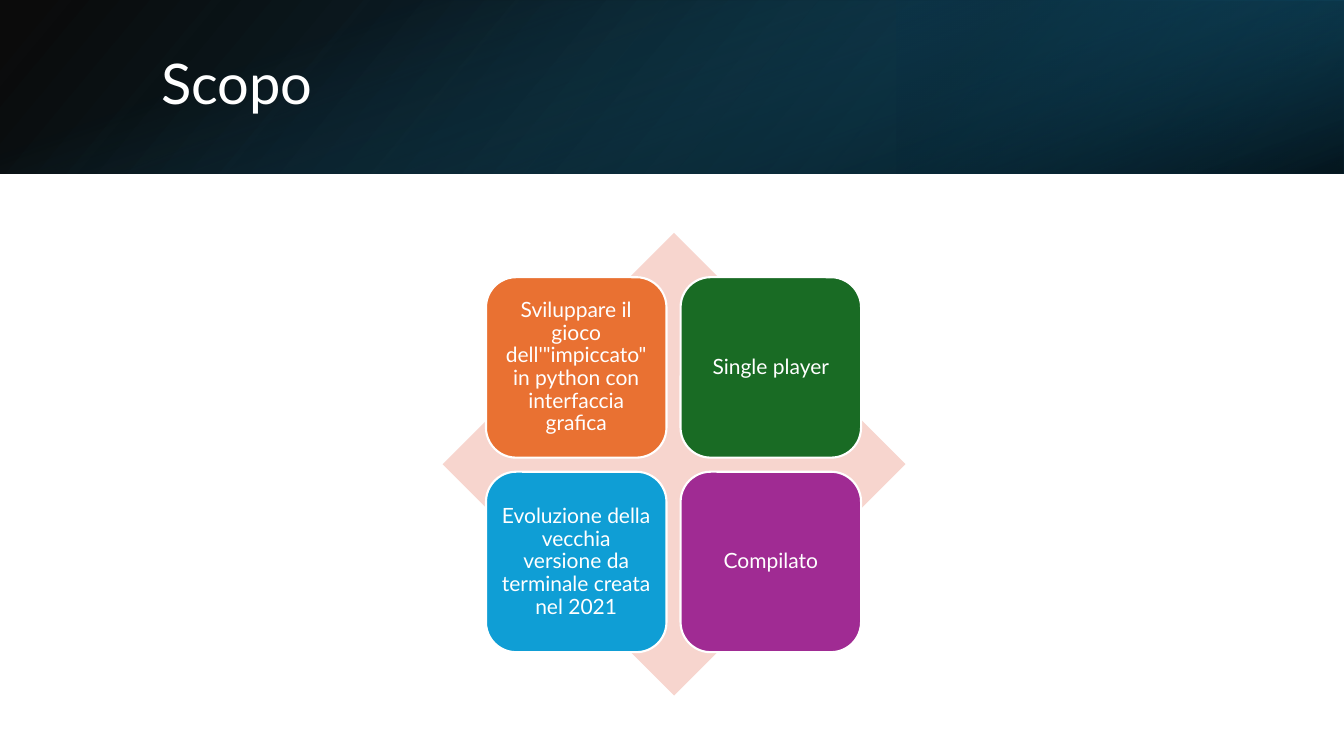
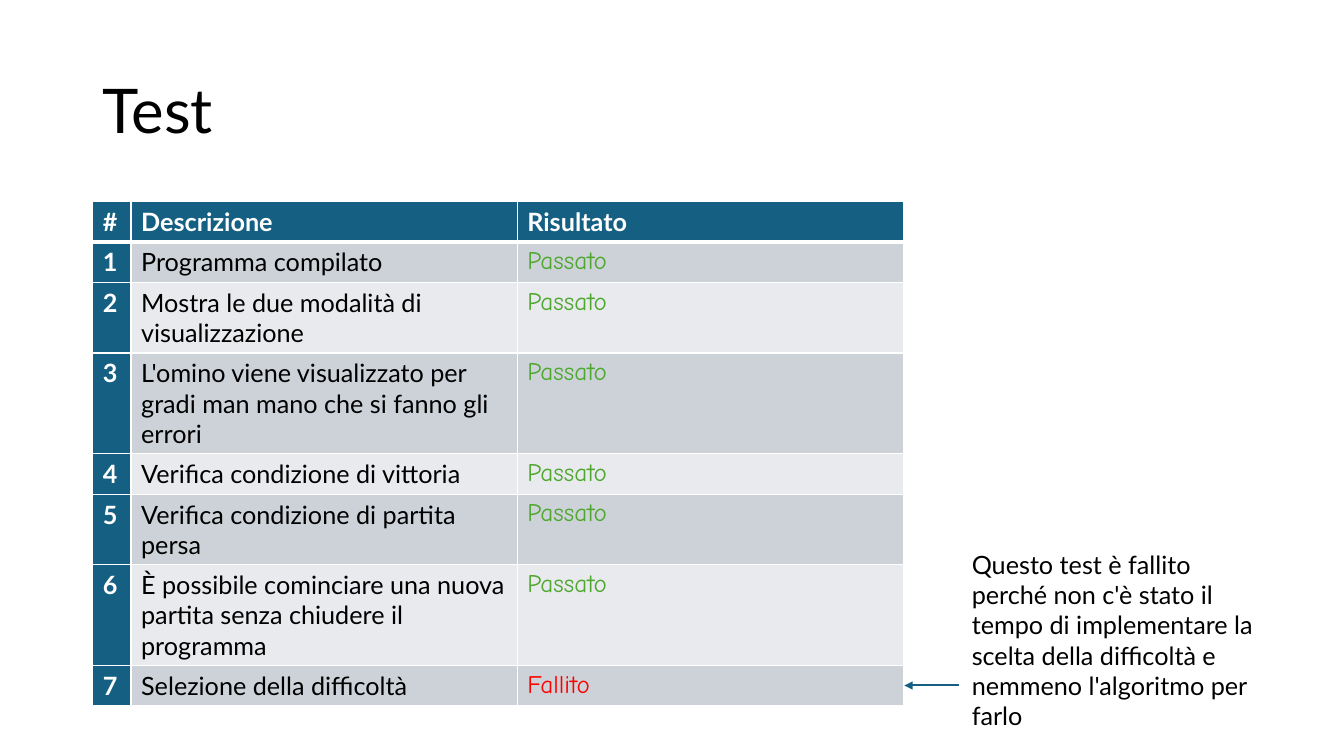
from lxml import etree
from pptx import Presentation
from pptx.dml.color import RGBColor
from pptx.enum.shapes import MSO_CONNECTOR as CONN, MSO_SHAPE as SHAPE
from pptx.enum.text import MSO_ANCHOR as ANCHOR, PP_ALIGN as ALIGN
from pptx.oxml import parse_xml
from pptx.oxml.ns import nsdecls, qn
from pptx.util import Inches, Pt

COLORS = {
    "white": "FFFFFF", "black": "000000", "blue": "156082",
    "navy": "104862", "deep": "0B3041", "pink": "F7D5CE",
    "orange": "E97132", "green": "196B24", "sky": "0F9ED5",
    "purple": "A02B93", "band_odd": "CCD2D8", "band_even": "E8EAED",
    "passed": "4EA72E", "failed": "FF0000",
}
FONT, HAND_FONT = "Lato", "Comic Neue"


def rgb(name):
    return RGBColor.from_string(COLORS[name])


class Deck:
    """Shared style and the slide being built."""

    def __init__(self):
        self.prs = Presentation()
        self.prs.slide_width, self.prs.slide_height = Inches(13.33), Inches(7.5)
        self.slide = None

    def new_slide(self):
        self.slide = self.prs.slides.add_slide(self.prs.slide_layouts[5])

    def set_text(self, tf, text, size, color, font=FONT, bold=False, align=ALIGN.LEFT, spacing=None):
        tf.text = text
        p = tf.paragraphs[0]
        p.alignment = align
        if spacing:
            p.line_spacing = spacing
        r = p.runs[0]
        r.font.size, r.font.name, r.font.bold = Pt(size), font, bold
        r.font.color.rgb = rgb(color)

    def title(self, text, box, size, color):
        sp = self.slide.shapes.title
        sp.left, sp.top, sp.width, sp.height = map(Inches, box)
        sp.text_frame.vertical_anchor = ANCHOR.MIDDLE
        self.set_text(sp.text_frame, text, size, color, spacing=0.9)
        # Keep the title in front of whatever was drawn before it
        sp.element.getparent().append(sp.element)

    def shape(self, kind, box, fill=None, line=None):
        sp = self.slide.shapes.add_shape(kind, *map(Inches, box))
        sp.shadow.inherit = False
        if fill:
            sp.fill.solid()
            sp.fill.fore_color.rgb = rgb(fill)
        if line:
            sp.line.color.rgb = rgb(line)
            sp.line.width = Pt(1.5)
        else:
            sp.line.fill.background()
        return sp

    def gradient(self, box, stops, angle, rotation=0, flip=False):
        """Rectangle with (position, colour, opacity) stops in percent."""
        sp = self.shape(SHAPE.RECTANGLE, box)
        sp.rotation = rotation
        pr = sp.element.spPr
        if flip:
            pr.xfrm.set("flipH", "1")
        gs = "".join(
            f'<a:gs pos="{pos * 1000}"><a:srgbClr val="{COLORS[color]}">'
            f'<a:alpha val="{alpha * 1000}"/></a:srgbClr></a:gs>'
            for pos, color, alpha in stops)
        pr.find(qn("a:prstGeom")).addnext(parse_xml(
            f'<a:gradFill {nsdecls("a")} rotWithShape="1"><a:gsLst>{gs}</a:gsLst>'
            f'<a:lin ang="{angle * 60000}" scaled="0"/></a:gradFill>'))

    def card(self, text, box, fill):
        sp = self.shape(SHAPE.ROUNDED_RECTANGLE, box, fill, "white")
        tf = sp.text_frame
        tf.word_wrap = True
        tf.vertical_anchor = ANCHOR.MIDDLE
        tf.margin_left = tf.margin_right = tf.margin_top = tf.margin_bottom = Inches(0.06)
        self.set_text(tf, text, 15, "white", align=ALIGN.CENTER, spacing=0.9)

    def text(self, text, box, size=18, color="black"):
        tf = self.slide.shapes.add_textbox(*map(Inches, box)).text_frame
        tf.word_wrap = True
        self.set_text(tf, text, size, color)

    def arrow(self, start, end, color):
        ln = self.slide.shapes.add_connector(CONN.STRAIGHT, *map(Inches, start + end))
        ln.line.color.rgb = rgb(color)
        ln.line.width = Pt(1.5)
        pr = ln.element.spPr
        etree.SubElement(pr.find(qn("a:ln")), qn("a:tailEnd")).set("type", "triangle")
        etree.SubElement(pr, qn("a:effectLst"))

    def cell(self, cell, text, fill, color, top=1, bottom=1, **style):
        pr = cell._tc.get_or_add_tcPr()
        for side, width in (("L", 1), ("R", 1), ("T", top), ("B", bottom)):
            pr.append(parse_xml(
                f'<a:ln{side} {nsdecls("a")} w="{Pt(width)}"><a:solidFill>'
                f'<a:srgbClr val="{COLORS["white"]}"/></a:solidFill></a:ln{side}>'))
        cell.fill.solid()
        cell.fill.fore_color.rgb = rgb(fill)
        self.set_text(cell.text_frame, text, 18, color, **style)

    def test_table(self, left, top, widths, heights, header, tests):
        table = self.slide.shapes.add_table(
            len(tests) + 1, len(header), Inches(left), Inches(top),
            Inches(sum(widths)), Inches(sum(heights))).table
        table.first_row = table.horz_banding = False
        for col, width in zip(table.columns, widths):
            col.width = Inches(width)
        for row, height in zip(table.rows, heights):
            row.height = Inches(height)
        for c, text in enumerate(header):
            self.cell(table.cell(0, c), text, "blue", "white", bottom=3, bold=True)
        for n, (description, result) in enumerate(tests, 1):
            edge = 3 if n == 1 else 1
            band = "band_odd" if n % 2 else "band_even"
            mark = "passed" if result == "Passato" else "failed"
            self.cell(table.cell(n, 0), str(n), "blue", "white", edge, bold=True)
            self.cell(table.cell(n, 1), description, band, "black", edge)
            self.cell(table.cell(n, 2), result, band, mark, edge, font=HAND_FONT)


def purpose_slide(deck):
    deck.new_slide()
    # Header band: three layered gradients
    deck.gradient((0, 0, 13.33, 1.72), [(0, "black", 96), (100, "navy", 100)], 140, flip=True)
    deck.gradient((8.89, 0, 4.44, 1.72), [(19, "deep", 68), (100, "blue", 79)], 320, 180, True)
    deck.gradient((5.8, -5.8, 1.72, 13.33), [(23, "blue", 0), (99, "black", 74)], 340, 90)
    deck.title("Scopo", (1.5, 0.38, 10.98, 0.96), 40, "white")

    # Diamond with a two by two grid of cards
    deck.shape(SHAPE.DIAMOND, (4.39, 2.31, 4.59, 4.59), "pink")
    cards = [
        ("Sviluppare il gioco dell'\"impiccato\" in python con interfaccia grafica", "orange"),
        ("Single player", "green"),
        ("Evoluzione della vecchia versione da terminale creata nel 2021", "sky"),
        ("Compilato", "purple"),
    ]
    side, step = 1.79, 1.93
    for i, (text, fill) in enumerate(cards):
        row, col = divmod(i, 2)
        deck.card(text, (4.82 + col * step, 2.75 + row * step, side, side), fill)


def test_slide(deck):
    deck.new_slide()
    deck.title("Test", (0.92, 0.4, 11.5, 1.45), 44, "black")

    # Test results
    tests = [
        ("Programma compilato", "Passato"),
        ("Mostra le due modalità di visualizzazione", "Passato"),
        ("L'omino viene visualizzato per gradi man mano che si fanno gli errori", "Passato"),
        ("Verifica condizione di vittoria", "Passato"),
        ("Verifica condizione di partita persa", "Passato"),
        ("È possibile cominciare una nuova partita senza chiudere il programma", "Passato"),
        ("Selezione della difficoltà", "Fallito"),
    ]
    deck.test_table(0.92, 2, (0.38, 3.83, 3.83), (0.4, 0.4, 0.7, 1, 0.4, 0.7, 1, 0.4),
                    ("#", "Descrizione", "Risultato"), tests)

    # Remark on the failed test
    deck.text("Questo test è fallito perché non c'è stato il tempo di implementare "
              "la scelta della difficoltà e nemmeno l'algoritmo per farlo",
              (9.54, 5.4, 3.17, 1.62))
    deck.arrow((9.51, 6.8), (8.97, 6.8), "blue")


def main():
    deck = Deck()
    purpose_slide(deck)
    test_slide(deck)
    deck.prs.save("out.pptx")


if __name__ == "__main__":
    main()
